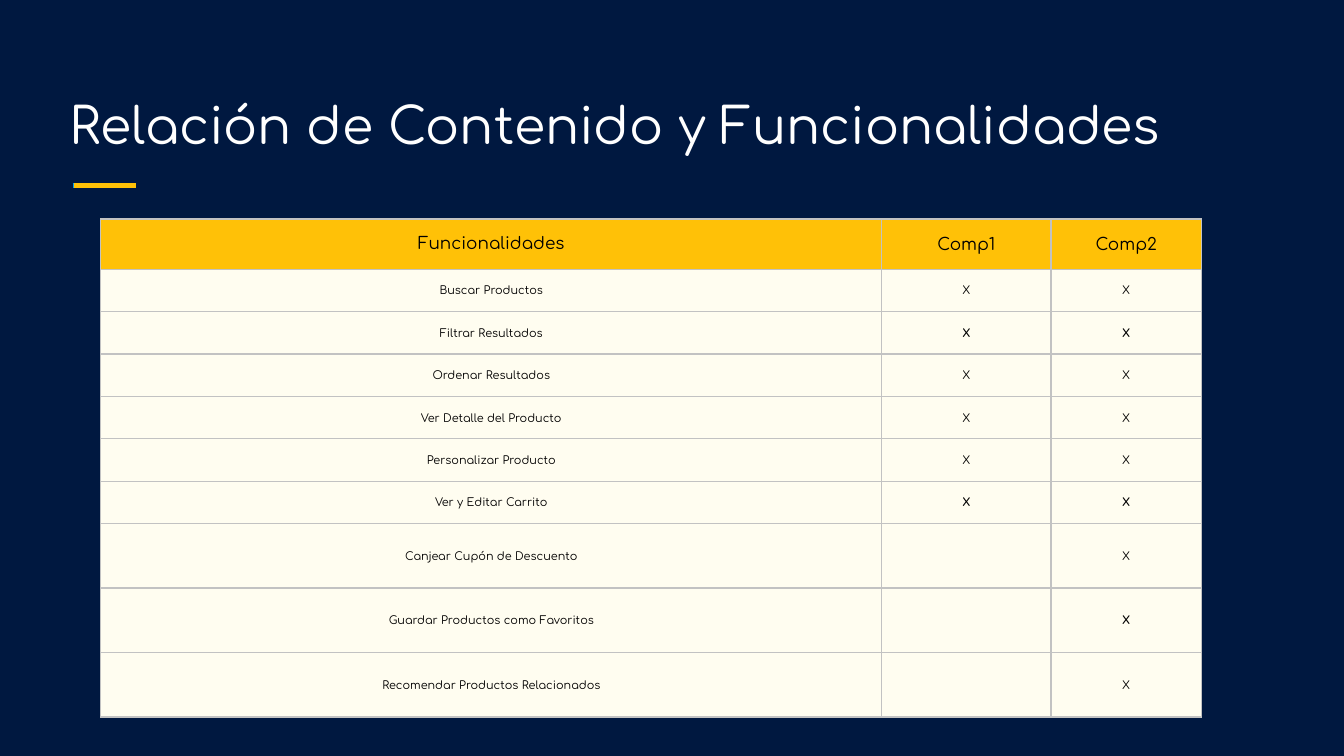
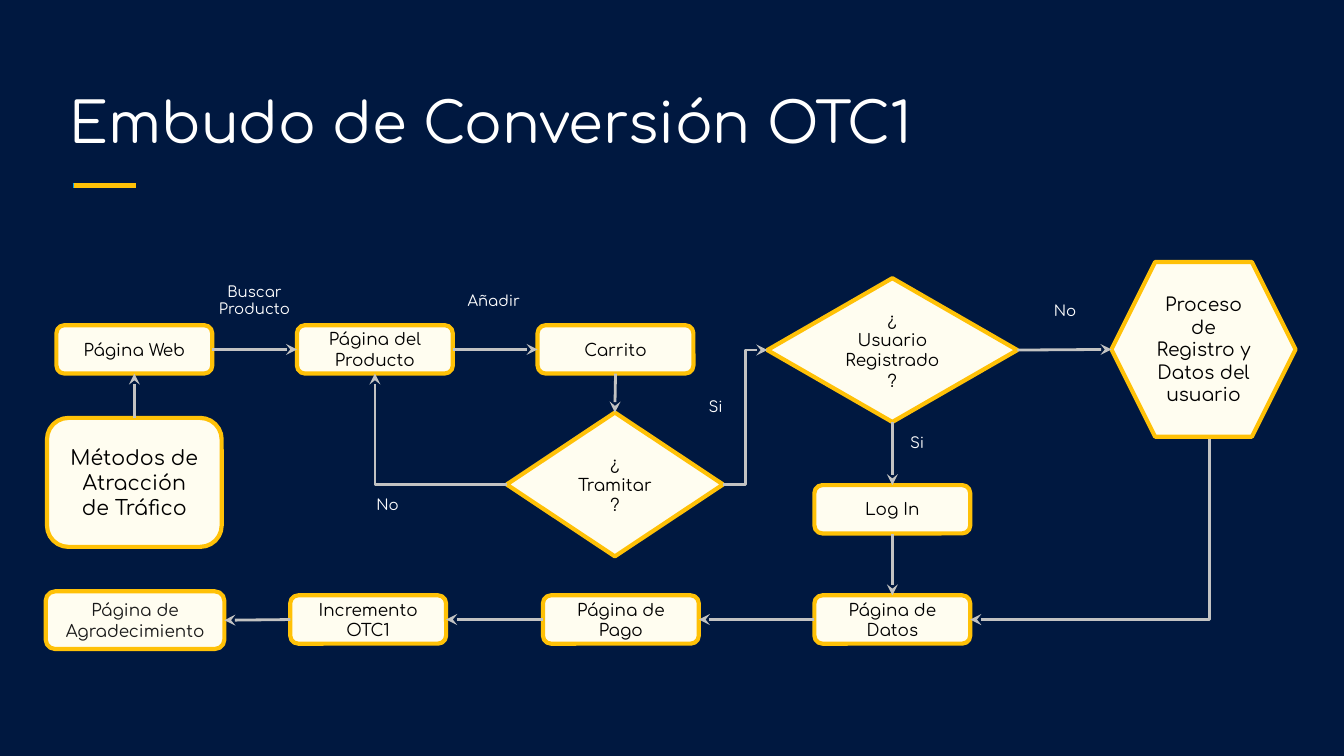
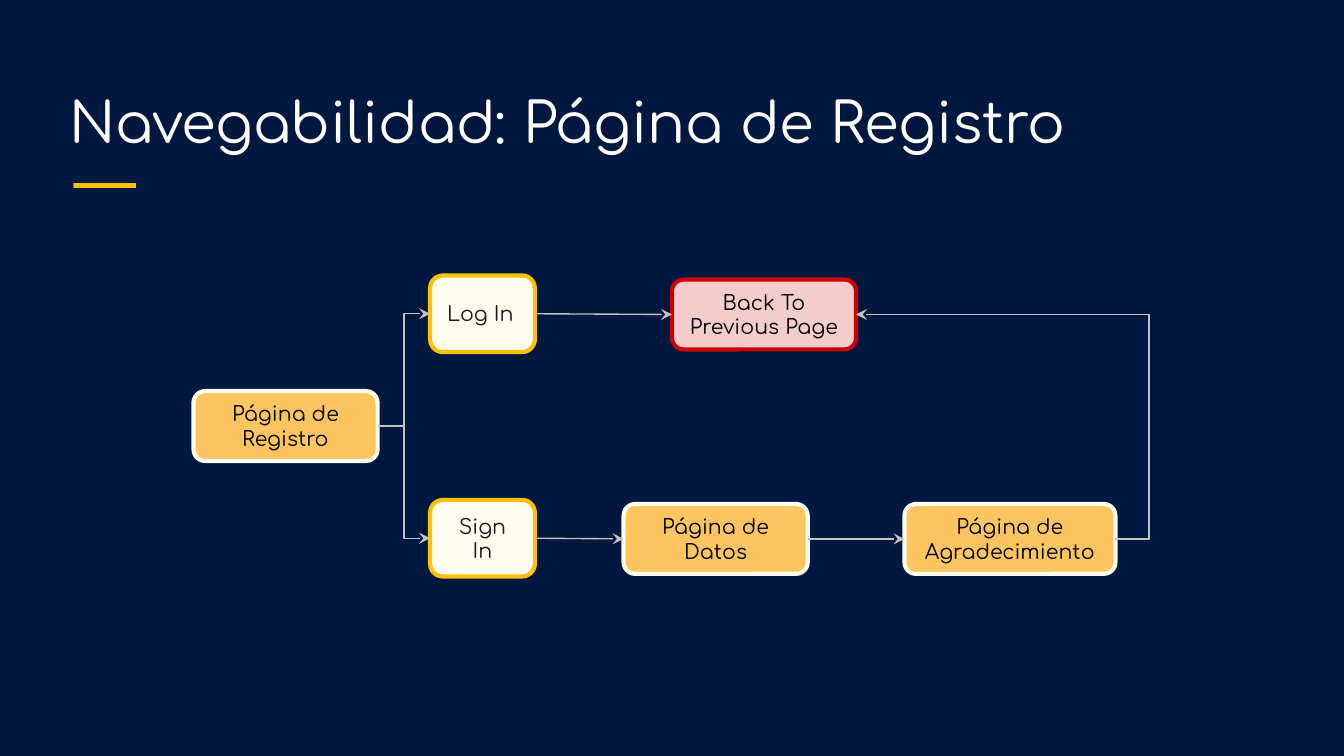
from lxml.etree import SubElement
from pptx import Presentation
from pptx.dml.color import RGBColor
from pptx.enum.shapes import MSO_CONNECTOR, MSO_SHAPE
from pptx.enum.text import MSO_ANCHOR, PP_ALIGN
from pptx.oxml import parse_xml
from pptx.oxml.ns import nsdecls, qn
from pptx.util import Inches, Pt

COLORS = {
    "navy": "001840",
    "amber": "FFC107",
    "blue": "039BE5",
    "cream": "FFFDF0",
    "orange": "FDC55F",
    "pink": "F4CCCC",
    "red": "CC0000",
    "gray": "C2C2C2",
    "white": "FFFFFF",
    "black": "000000",
    "ink": "1A1A1A",
}
FONT = "Comfortaa"
COLUMNS = 100
TOP, LEFT, BOTTOM, RIGHT = range(4)


def rgb(name):
    return RGBColor.from_string(COLORS[name])


class Deck:
    def __init__(self):
        self.prs = Presentation()
        self.prs.slide_width = Inches(10)
        self.prs.slide_height = Inches(5.625)
        self.unit = self.prs.slide_width // COLUMNS

    def grid(self, *cells):
        return [round(cell * self.unit) for cell in cells]

    def add_slide(self, title, size=30):
        self.slide = self.prs.slides.add_slide(self.prs.slide_layouts[6])
        self.shapes = self.slide.shapes
        fill = self.slide.background.fill
        fill.solid()
        fill.fore_color.rgb = rgb("navy")
        for column, color in ((5.4, "blue"), (5.5, "amber")):
            self.line(self.grid(column, 13.8, column + 4.6, 13.8), color, 3)
        self.text((4.2, 5, 91.5, 7.5), title, size, PP_ALIGN.LEFT, MSO_ANCHOR.BOTTOM)

    def line(self, ends, color, width, kind=MSO_CONNECTOR.STRAIGHT):
        line = self.shapes.add_connector(kind, *ends)
        line.line.color.rgb = rgb(color)
        line.line.width = Pt(width)
        SubElement(line._element.spPr, qn("a:effectLst"))
        return line

    def letter(self, frame, text, size, color, align=PP_ALIGN.CENTER, spacing=None, bold=False):
        frame.text = text
        for paragraph in frame.paragraphs:
            paragraph.alignment = align
            if spacing:
                paragraph.line_spacing = spacing
            font = paragraph.font
            font.name, font.size, font.bold = FONT, Pt(size), bold
            font.color.rgb = rgb(color)

    def fit(self, frame, anchor):
        frame.word_wrap = True
        frame.vertical_anchor = anchor
        frame.margin_left = frame.margin_right = self.unit
        frame.margin_top = frame.margin_bottom = self.unit

    def text(self, area, text, size=8, align=PP_ALIGN.CENTER, anchor=MSO_ANCHOR.TOP):
        frame = self.shapes.add_textbox(*self.grid(*area)).text_frame
        self.fit(frame, anchor)
        self.letter(frame, text, size, "white", align)

    def node(self, area, text, size=9, fill="cream", border="amber", color="black",
             kind=MSO_SHAPE.ROUNDED_RECTANGLE, align=PP_ALIGN.CENTER):
        node = self.shapes.add_shape(kind, *self.grid(*area))
        node.shadow.inherit = False
        node.fill.solid()
        node.fill.fore_color.rgb = rgb(fill)
        node.line.color.rgb = rgb(border)
        node.line.width = Pt(2.25)
        self.fit(node.text_frame, MSO_ANCHOR.MIDDLE)
        self.letter(node.text_frame, text, size, color, align)
        return node

    def locate(self, place):
        node, side = place
        if isinstance(node, (int, float)):
            return self.grid(*place)
        across = {LEFT: 0, RIGHT: node.width}.get(side, node.width // 2)
        down = {TOP: 0, BOTTOM: node.height}.get(side, node.height // 2)
        return [node.left + across, node.top + down]

    def arrow(self, begin, end, width=1.5, preset=None, bend=None):
        kind = MSO_CONNECTOR.ELBOW if preset else MSO_CONNECTOR.STRAIGHT
        arrow = self.line(self.locate(begin) + self.locate(end), "gray", width, kind)
        for place, connect in ((begin, arrow.begin_connect), (end, arrow.end_connect)):
            if not isinstance(place[0], (int, float)):
                connect(*place)
        properties = arrow._element.spPr
        SubElement(properties.find(qn("a:ln")), qn("a:tailEnd"), type="stealth")
        if preset:
            geometry = properties.find(qn("a:prstGeom"))
            geometry.set("prst", preset)
            if bend is not None:
                guides = geometry.find(qn("a:avLst"))
                SubElement(guides, qn("a:gd"), name="adj1", fmla=f"val {round(bend * 100000)}")

    def table(self, corner, widths, heights, rows):
        area = self.grid(*corner, sum(widths), sum(heights))
        table = self.shapes.add_table(len(rows), len(widths), *area).table
        for column, width in zip(table.columns, self.grid(*widths)):
            column.width = width
        for row, height in zip(table.rows, self.grid(*heights)):
            row.height = height
        for r, (*texts, bold) in enumerate(rows):
            for c, text in enumerate(texts):
                cell = table.cell(r, c)
                cell.vertical_anchor = MSO_ANCHOR.MIDDLE
                cell.margin_left = cell.margin_right = Inches(0.03)
                cell.margin_top = cell.margin_bottom = self.unit
                cell.fill.solid()
                cell.fill.fore_color.rgb = rgb("cream" if r else "amber")
                self.letter(cell.text_frame, text, 6 if r else 9, "black",
                            spacing=1.15 if r or c else None, bold=bold and c > 0)
                self.outline(cell)

    def outline(self, cell):
        properties = cell._tc.get_or_add_tcPr()
        for position, side in enumerate("LRTB"):
            properties.insert(position, parse_xml(
                f'<a:ln{side} {nsdecls("a")} w="{Pt(0.75)}"><a:solidFill>'
                f'<a:srgbClr val="{COLORS["gray"]}"/></a:solidFill></a:ln{side}>'))


def features(deck):
    deck.add_slide("Relación de Contenido y Funcionalidades", 27)
    rows = [
        ("Funcionalidades", "Comp1", "Comp2", False),
        ("Buscar Productos", "X", "X", False),
        ("Filtrar Resultados", "X", "X", True),
        ("Ordenar Resultados", "X", "X", False),
        ("Ver Detalle del Producto", "X", "X", False),
        ("Personalizar Producto", "X", "X", False),
        ("Ver y Editar Carrito", "X", "X", True),
        ("Canjear Cupón de Descuento", "", "X", False),
        ("Guardar Productos como Favoritos", "", "X", True),
        ("Recomendar Productos Relacionados", "", "X", False),
    ]
    deck.table((7.5, 16.3), (58.1, 12.6, 11.2), [3.6] + [3.06] * 6 + [4.8] * 3, rows)


def funnel(deck):
    deck.add_slide("Embudo de Conversión OTC1")

    def page(column, row, text):
        return deck.node((column, row, 11.6, 3.6), text)

    def decision(area, text):
        return deck.node(area, text, kind=MSO_SHAPE.FLOWCHART_DECISION)

    web, product, cart = [
        page(4.2 + 17.9 * step, 24.2, text)
        for step, text in enumerate(("Página Web", "Página del Producto", "Carrito"))]
    login = page(60.6, 36.1, "Log In")
    data = page(60.6, 44.3, "Página de Datos")
    payment = page(40.4, 44.3, "Página de Pago")
    upsell = page(21.6, 44.3, "Incremento OTC1")
    thanks = deck.node((3.4, 44, 13.3, 4.3), "Página de Agradecimiento", color="ink")
    traffic = deck.node((3.5, 31.1, 13, 9.6), "Métodos de Atracción de Tráfico", 11)
    checkout = decision((37.7, 30.7, 16.1, 10.7), "¿\nTramitar?")
    registered = decision((57.1, 20.7, 18.6, 10.7), "¿\nUsuario Registrado?")
    deck.node((82.7, 19.5, 13.7, 13), "Proceso de Registro y Datos del usuario", 10,
              kind=MSO_SHAPE.HEXAGON)

    for begin, end in (
        ((traffic, TOP), (web, BOTTOM)),
        ((web, RIGHT), (product, LEFT)),
        ((product, RIGHT), (cart, LEFT)),
        ((cart, BOTTOM), (checkout, TOP)),
        ((registered, RIGHT), (82.7, 26)),
        ((registered, BOTTOM), (login, TOP)),
        ((login, BOTTOM), (data, TOP)),
        ((data, LEFT), (payment, RIGHT)),
        ((payment, LEFT), (upsell, RIGHT)),
        ((upsell, LEFT), (thanks, RIGHT)),
    ):
        deck.arrow(begin, end)
    deck.arrow((checkout, LEFT), (product, BOTTOM), preset="bentConnector2")
    deck.arrow((checkout, RIGHT), (registered, LEFT), preset="bentConnector3", bend=0.5)
    deck.arrow((90, 32.7), (data, RIGHT), preset="bentConnector3", bend=0)

    for column, row, label in (
        (14.6, 20, "Buscar Producto"),
        (32.4, 21, "Añadir"),
        (24.5, 36.2, "No"),
        (74.9, 21.8, "No"),
        (48.9, 28.9, "Si"),
        (63.9, 31.6, "Si"),
    ):
        deck.text((column, row, 8.7, 4.3), label)


def registration(deck):
    deck.add_slide("Navegabilidad: Página de Registro")

    def page(column, row, width, text, fill="orange", border="cream"):
        return deck.node((column, row, width, 5.2), text, 11, fill, border)

    def option(row, text, align):
        return deck.node((32, row, 7.8, 5.7), text, 11, color="ink", align=align)

    register = page(14.4, 29.1, 13.7, "Página de Registro")
    login = option(20.5, "Log In", PP_ALIGN.LEFT)
    signin = option(37.2, "Sign In", PP_ALIGN.CENTER)
    data = page(46.4, 37.5, 13.7, "Página de Datos")
    back = page(50, 20.8, 13.7, "Back To Previous Page", "pink", "red")
    thanks = page(67.3, 37.5, 15.7, "Página de Agradecimiento")

    for origin, target in ((login, back), (signin, data), (data, thanks)):
        deck.arrow((origin, RIGHT), (target, LEFT), 0.75)
    for target in (login, signin):
        deck.arrow((register, RIGHT), (target, LEFT), 0.75, "bentConnector3", 0.5)
    deck.arrow((thanks, RIGHT), (back, RIGHT), 0.75, "bentConnector3", -0.13)


def main():
    deck = Deck()
    features(deck)
    funnel(deck)
    registration(deck)
    deck.prs.save("out.pptx")


if __name__ == "__main__":
    main()
